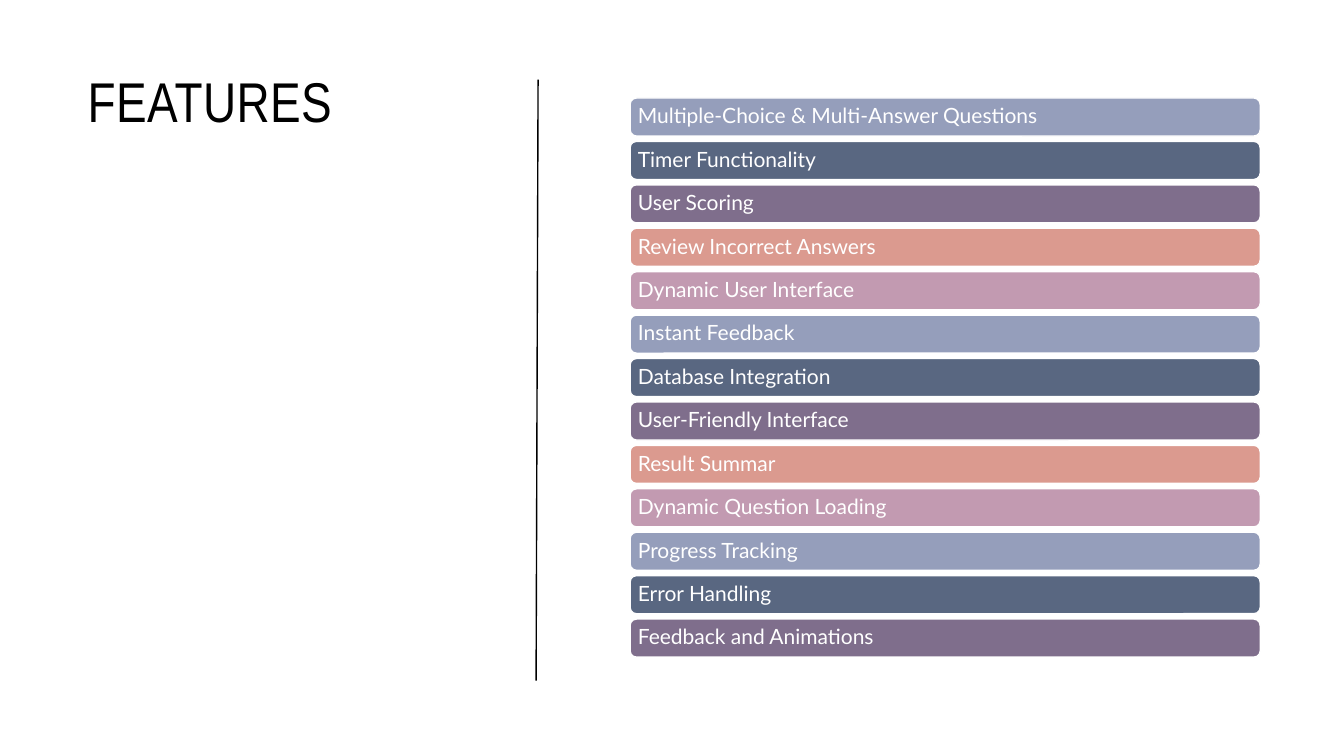
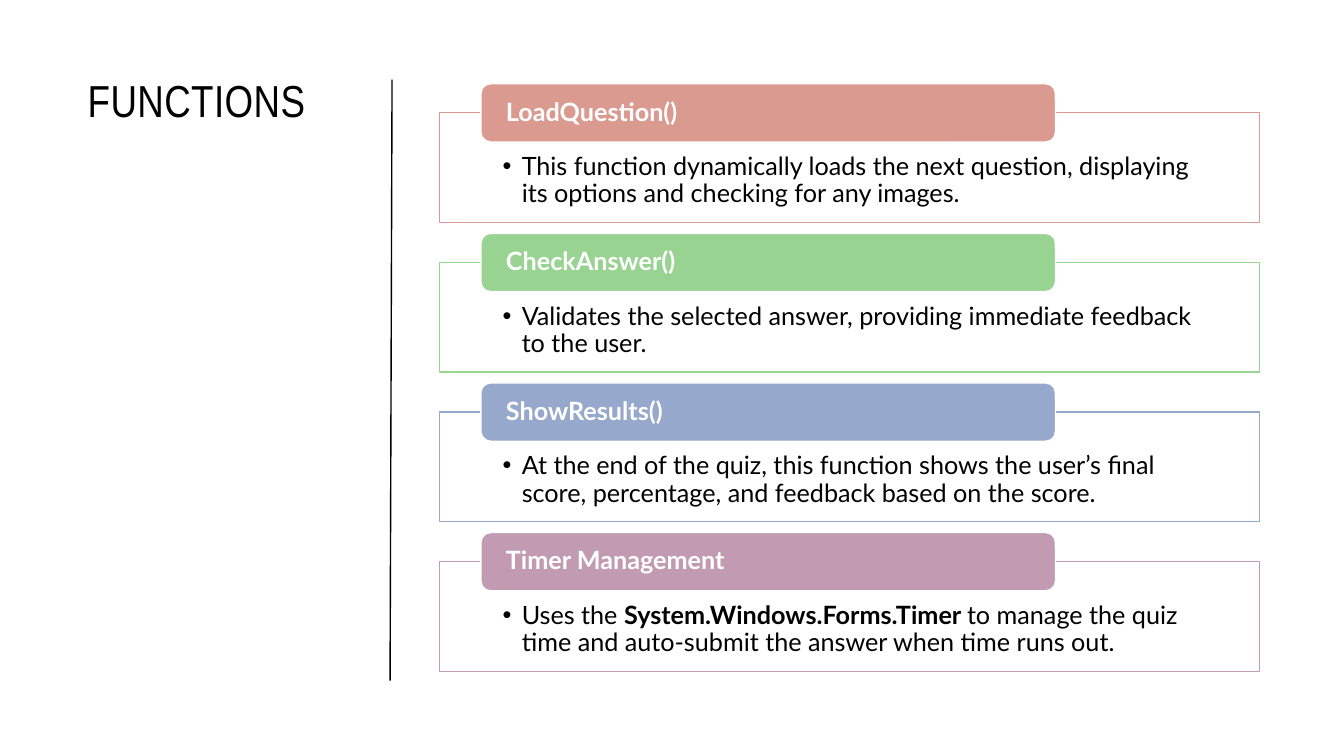
from itertools import cycle

from lxml import etree
from pptx import Presentation
from pptx.dml.color import RGBColor
from pptx.enum.shapes import MSO_CONNECTOR, MSO_SHAPE
from pptx.enum.text import MSO_ANCHOR, PP_ALIGN
from pptx.oxml.ns import qn
from pptx.util import Cm, Pt

RECT, ROUND = MSO_SHAPE.RECTANGLE, MSO_SHAPE.ROUNDED_RECTANGLE
STRAIGHT = MSO_CONNECTOR.STRAIGHT
TOP, MIDDLE = MSO_ANCHOR.TOP, MSO_ANCHOR.MIDDLE
LEFT = PP_ALIGN.LEFT

TITLE_FONT, BODY_FONT = "Arial Narrow", "Lato"
COLORS = {
    "black": "000000",
    "white": "FFFFFF",
    "lavender": "959EBB",
    "slate": "596781",
    "purple": "7F6E8C",
    "coral": "DB9A8F",
    "mauve": "C29AB1",
    "green": "98D392",
    "blue": "96A8CB",
}

FEATURES = [
    "Multiple-Choice & Multi-Answer Questions",
    "Timer Functionality",
    "User Scoring",
    "Review Incorrect Answers",
    "Dynamic User Interface",
    "Instant Feedback",
    "Database Integration",
    "User-Friendly Interface",
    "Result Summar",
    "Dynamic Question Loading",
    "Progress Tracking",
    "Error Handling",
    "Feedback and Animations",
]
BAR_COLORS = ["lavender", "slate", "purple", "coral", "mauve"]

# Heading, colour, and description as (text, bold) runs
FUNCTIONS = [
    ("LoadQuestion()", "coral", [
        ("This function dynamically loads the next question, displaying "
         "its options and checking for any images.", False)]),
    ("CheckAnswer()", "green", [
        ("Validates the selected answer, providing immediate feedback "
         "to the user.", False)]),
    ("ShowResults()", "blue", [
        ("At the end of the quiz, this function shows the user’s final "
         "score, percentage, and feedback based on the score.", False)]),
    ("Timer Management", "mauve", [
        ("Uses the ", False),
        ("System.Windows.Forms.Timer ", True),
        ("to manage the quiz time and auto-submit the answer when time "
         "runs out.", False)]),
]


def rgb(name):
    return RGBColor.from_string(COLORS[name])


def style_run(r, font, size, color, bold=False):
    r.font.name = font
    r.font.size = Pt(size)
    r.font.bold = bold
    r.font.color.rgb = rgb(color)


def set_insets(tf, left, top, right, bottom):
    tf.margin_left, tf.margin_top = Cm(left), Cm(top)
    tf.margin_right, tf.margin_bottom = Cm(right), Cm(bottom)


def add_title(slide, text, top, width, size):
    sp = slide.shapes.add_textbox(Cm(1.96), Cm(top), Cm(width), Cm(12.5))
    tf = sp.text_frame
    tf.word_wrap = True
    tf.text = text
    r = tf.paragraphs[0].runs[0]
    style_run(r, TITLE_FONT, size, "black")
    r.font._element.set("spc", "30")


def add_divider(slide, x):
    """Thin line that leans slightly to the right."""
    line = slide.shapes.add_connector(
        STRAIGHT, Cm(x), Cm(17.15), Cm(x + 0.05), Cm(2.01))
    line.line.color.rgb = rgb("black")
    line.line.width = Pt(1)
    etree.SubElement(line._element.spPr, qn("a:effectLst"))


def add_box(slide, kind, box, fill, outline, runs, size, color, insets, anchor):
    """Filled shape with one left-aligned paragraph of (text, bold) runs."""
    sp = slide.shapes.add_shape(kind, *map(Cm, box))
    sp.shadow.inherit = False
    sp.fill.solid()
    sp.fill.fore_color.rgb = rgb(fill)
    sp.line.color.rgb = rgb(outline)
    sp.line.width = Pt(1)
    tf = sp.text_frame
    tf.word_wrap = True
    tf.vertical_anchor = anchor
    set_insets(tf, *insets)
    p = tf.paragraphs[0]
    p.alignment = LEFT
    p.line_spacing = 0.9
    for text, bold in runs:
        r = p.add_run()
        r.text = text
        style_run(r, BODY_FONT, size, color, bold)
    return sp


def add_bullet(p, indent):
    pPr = p._p.get_or_add_pPr()
    pPr.set("marL", str(Cm(indent)))
    pPr.set("indent", str(-Cm(indent)))
    etree.SubElement(pPr, qn("a:buFont"), typeface="Arial")
    etree.SubElement(pPr, qn("a:buChar"), char="•")


def set_opacity(sp, percent):
    color = sp._element.spPr.find(qn("a:solidFill"))[0]
    etree.SubElement(color, qn("a:alpha"), val=str(percent * 1000))


def add_bar(slide, top, text, color):
    add_box(slide, ROUND, (15.88, top, 15.88, 0.96), color, "white",
            [(text, False)], 15, "white", (0.15,) * 4, MIDDLE)


def add_card(slide, top, heading, color, runs):
    """Outlined description with a heading tab over its top edge."""
    body = add_box(slide, RECT, (11.07, top + 0.73, 20.68, 2.77), "white",
                   color, runs, 18, "black", (1.6, 1.04, 1.6, 0.36), TOP)
    set_opacity(body, 90)
    add_bullet(body.text_frame.paragraphs[0], 0.48)
    add_box(slide, ROUND, (12.12, top, 14.48, 1.47), color, "white",
            [(heading, True)], 18, "white", (0.56, 0, 0.56, 0), MIDDLE)


def build_features(slide):
    add_title(slide, "FEATURES", 1.55, 10.06, 40)
    add_divider(slide, 13.51)
    first, last = 2.47, 15.6
    pitch = (last - first) / (len(FEATURES) - 1)
    for i, (text, color) in enumerate(zip(FEATURES, cycle(BAR_COLORS))):
        add_bar(slide, first + i * pitch, text, color)


def build_functions(slide):
    add_title(slide, "FUNCTIONS", 1.7, 7.01, 32)
    add_divider(slide, 9.83)
    for i, (heading, color, runs) in enumerate(FUNCTIONS):
        add_card(slide, 2.11 + i * 3.77, heading, color, runs)


def main():
    prs = Presentation()
    prs.slide_width, prs.slide_height = Cm(33.87), Cm(19.05)
    for build in (build_features, build_functions):
        build(prs.slides.add_slide(prs.slide_layouts[6]))
    prs.save("out.pptx")


if __name__ == "__main__":
    main()
